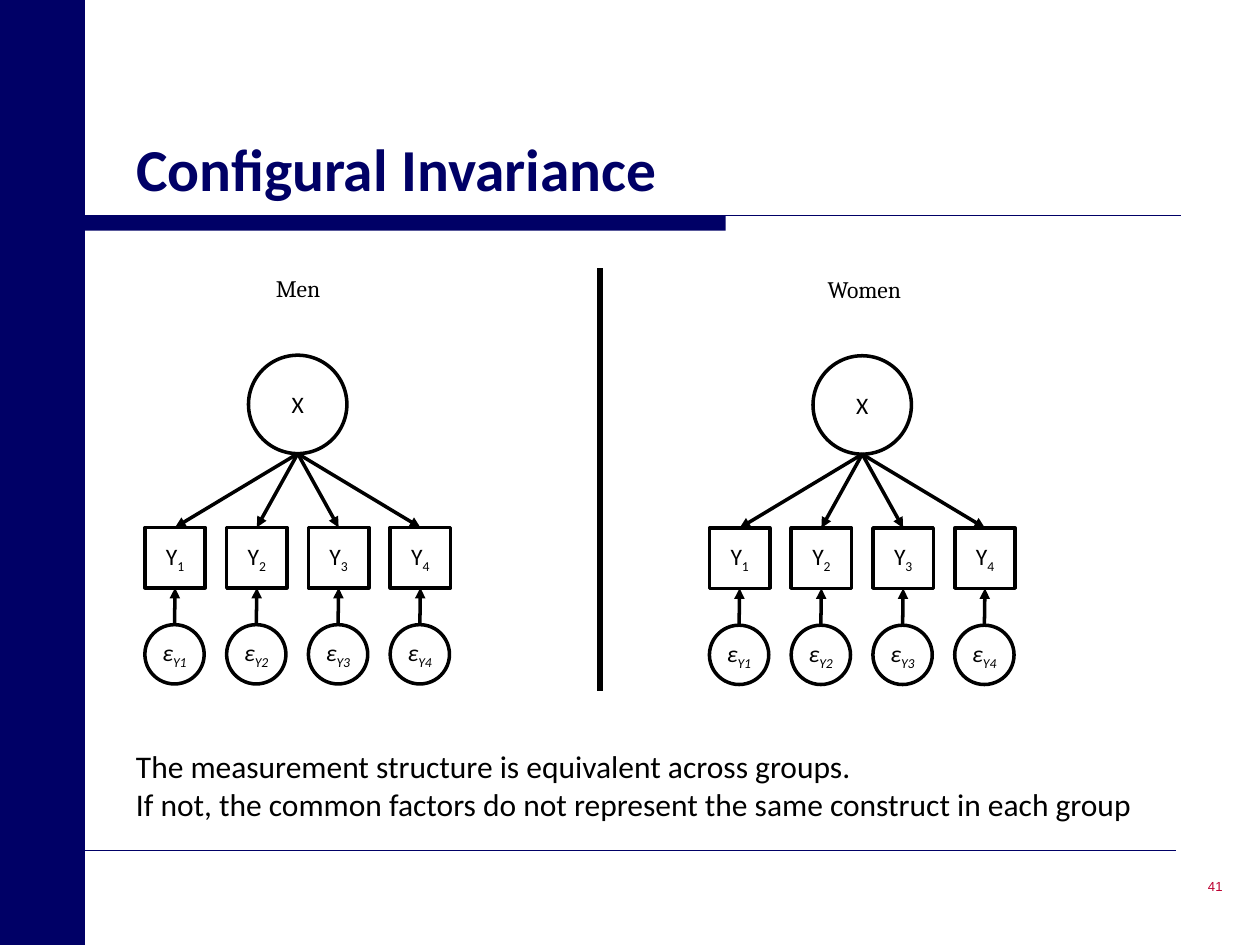
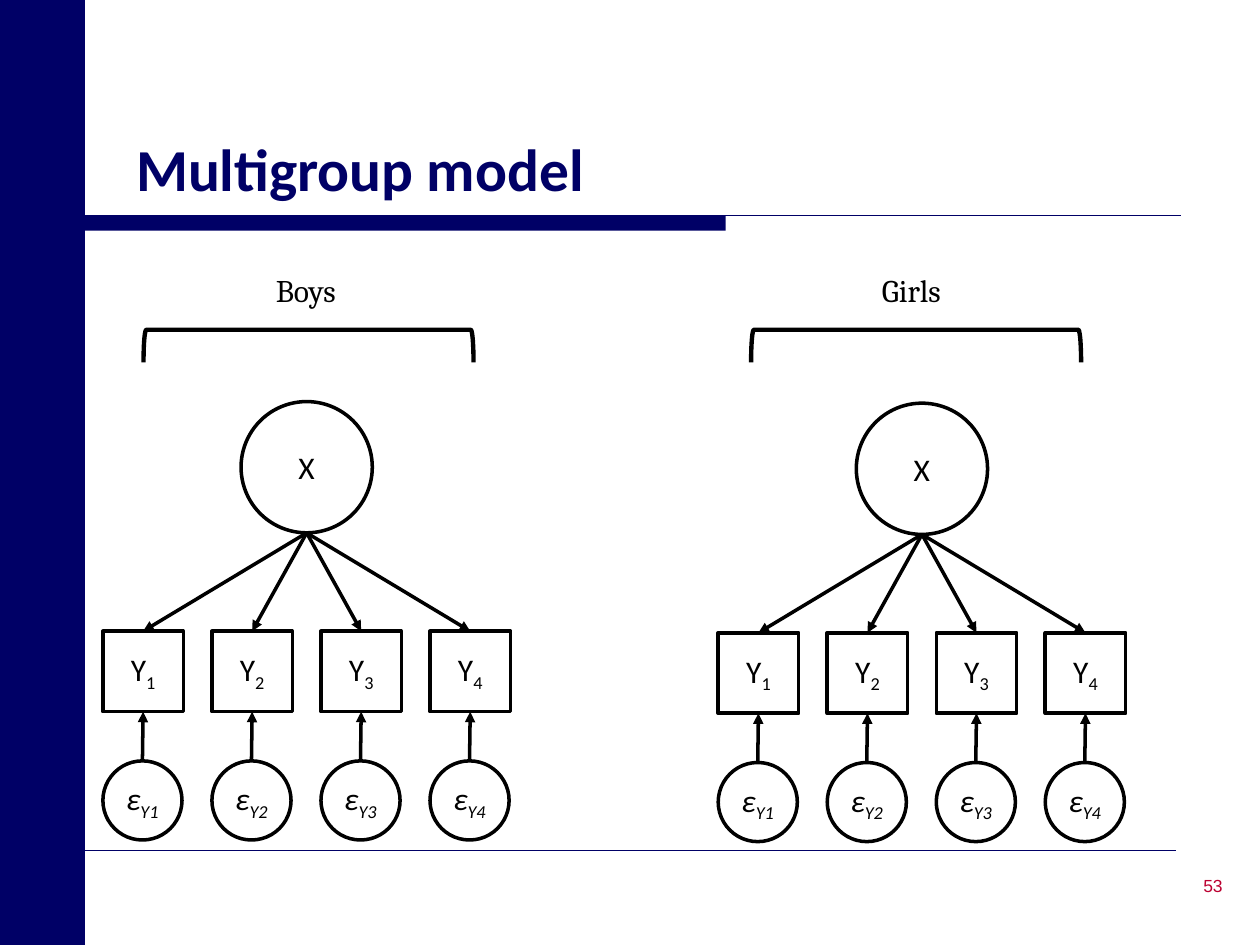
from dataclasses import dataclass
from typing import Any

from lxml.etree import SubElement
from pptx import Presentation
from pptx.dml.color import RGBColor
from pptx.enum.shapes import MSO_CONNECTOR, MSO_SHAPE
from pptx.enum.text import MSO_ANCHOR, MSO_AUTO_SIZE, PP_ALIGN
from pptx.oxml.ns import qn
from pptx.util import Pt

NAVY, RED, BLACK = "000066", "BC0031", "000000"
BODY_FONT, LABEL_FONT, NUMBER_FONT = "Calibri", "Cambria", "Arial"
BAND_W, RULE_Y, FOOT_Y = 48, 123, 486
INDICATORS = 4


@dataclass(frozen=True)
class Run:
    text: str
    sub: bool = False


@dataclass(frozen=True)
class Style:
    size: float
    font: str = BODY_FONT
    color: str = BLACK
    bold: bool = False
    italic: bool = False
    align: Any = PP_ALIGN.LEFT


@dataclass(frozen=True)
class Group:
    name: str
    label_x: float
    label_y: float
    label_w: float
    left: float
    top: float


@dataclass(frozen=True)
class ModelSlide:
    title: str
    number: str
    number_size: float
    size: float
    groups: tuple[Group, Group]


def rgb(color: str) -> RGBColor:
    return RGBColor.from_string(color)


def apply(target: Any, values: dict[str, Any]) -> None:
    for name, value in values.items():
        setattr(target, name, value)


def write(tf: Any, lines: list[list[Run]], style: Style, **frame: Any) -> None:
    apply(tf, {"word_wrap": True, "auto_size": MSO_AUTO_SIZE.NONE, **frame})
    for i, runs in enumerate(lines):
        p = tf.paragraphs[0] if i == 0 else tf.add_paragraph()
        p.alignment = style.align
        for run in runs:
            r = p.add_run()
            r.text = run.text
            apply(r.font, {"size": Pt(style.size), "name": style.font,
                           "bold": style.bold, "italic": style.italic})
            r.font.color.rgb = rgb(style.color)
            if run.sub:
                r._r.get_or_add_rPr().set("baseline", "-25000")


def add_text(s: Any, x: float, y: float, w: float, h: float,
             lines: list[str], style: Style, **frame: Any) -> None:
    tb = s.shapes.add_textbox(Pt(x), Pt(y), Pt(w), Pt(h))
    write(tb.text_frame, [[Run(line)] for line in lines], style, **frame)


def add_shape(s: Any, kind: Any, x: float, y: float, w: float, h: float,
              fill: str | None = None, line: str | None = BLACK,
              width: float = 2) -> Any:
    sp = s.shapes.add_shape(kind, Pt(x), Pt(y), Pt(w), Pt(h))
    sp.shadow.inherit = False
    if fill:
        sp.fill.solid()
        sp.fill.fore_color.rgb = rgb(fill)
    else:
        sp.fill.background()
    if line:
        sp.line.color.rgb = rgb(line)
        sp.line.width = Pt(width)
    else:
        sp.line.fill.background()
    return sp


def add_line(s: Any, x1: float, y1: float, x2: float, y2: float,
             color: str = BLACK, width: float = 2, arrow: bool = False) -> None:
    cx = s.shapes.add_connector(MSO_CONNECTOR.STRAIGHT, Pt(x1), Pt(y1), Pt(x2), Pt(y2))
    cx.line.color.rgb = rgb(color)
    cx.line.width = Pt(width)
    if arrow:
        SubElement(cx.line._get_or_add_ln(), qn("a:tailEnd"), type="triangle")
    SubElement(cx._element.spPr, qn("a:effectLst"))


def add_node(s: Any, kind: Any, x: float, y: float, d: float,
             runs: list[Run], style: Style) -> None:
    sp = add_shape(s, kind, x, y, d, d)
    write(sp.text_frame, [runs], style, vertical_anchor=MSO_ANCHOR.MIDDLE,
          word_wrap=kind == MSO_SHAPE.RECTANGLE)


def add_factor_model(s: Any, group: Group, size: float) -> None:
    k = size / 18
    factor_d, box, error_d = 75 * k, 46 * k, 45.2 * k
    pitch, path_h, error_gap = 62.3 * k, 56.2 * k, 28.1 * k
    factor_x = group.left + ((INDICATORS - 1) * pitch + box) / 2
    factor_bottom = group.top + factor_d
    box_y = factor_bottom + path_h
    error_y = box_y + box + error_gap
    plain = Style(size, align=PP_ALIGN.CENTER)
    slanted = Style(size, italic=True, align=PP_ALIGN.CENTER)

    add_node(s, MSO_SHAPE.OVAL, factor_x - factor_d / 2, group.top, factor_d,
             [Run("X")], plain)
    for i in range(INDICATORS):
        x = group.left + i * pitch
        mid = x + box / 2
        add_node(s, MSO_SHAPE.RECTANGLE, x, box_y, box,
                 [Run("Y"), Run(f"{i + 1}", sub=True)], plain)
        add_node(s, MSO_SHAPE.OVAL, x, error_y, error_d,
                 [Run("ε"), Run(f"Y{i + 1}", sub=True)], slanted)
        add_line(s, factor_x, factor_bottom, mid, box_y, arrow=True)
        add_line(s, x + error_d / 2, error_y, mid, box_y + box, arrow=True)
    add_text(s, group.label_x, group.label_y, group.label_w, size * 1.6,
             [group.name], Style(size, LABEL_FONT))


def add_bracket(s: Any, x: float, y: float, w: float, h: float) -> None:
    sp = add_shape(s, MSO_SHAPE.RIGHT_BRACKET, x + (w - h) / 2, y - (w - h) / 2,
                   h, w, width=2.5)
    sp.rotation = 270


def add_model_slide(prs: Any, model: ModelSlide) -> Any:
    s = prs.slides.add_slide(prs.slide_layouts[5])
    add_shape(s, MSO_SHAPE.RECTANGLE, BAND_W, RULE_Y, 366.7, 8.8, NAVY, None)
    add_line(s, BAND_W, RULE_Y, 674.6, RULE_Y, NAVY, 0.75)
    add_line(s, BAND_W, FOOT_Y, 672, FOOT_Y, NAVY, 0.25)
    add_shape(s, MSO_SHAPE.RECTANGLE, 0, 0, BAND_W, 540, NAVY, NAVY, 1)

    title = s.shapes.title
    apply(title, {"left": Pt(70.6), "top": Pt(24), "width": Pt(553.7), "height": Pt(95.8)})
    write(title.text_frame, [[Run(model.title)]], Style(34, color=NAVY, bold=True),
          vertical_anchor=MSO_ANCHOR.BOTTOM)
    add_text(s, 555.8, 485.3, 150, 41.8, [model.number],
             Style(model.number_size, NUMBER_FONT, RED, align=PP_ALIGN.RIGHT),
             vertical_anchor=MSO_ANCHOR.MIDDLE)
    for group in model.groups:
        add_factor_model(s, group, model.size)
    return s


def main() -> None:
    prs = Presentation()
    apply(prs, {"slide_width": Pt(720), "slide_height": Pt(540)})

    s = add_model_slide(prs, ModelSlide(
        "Configural Invariance", "41", 7.5, 13.5,
        (Group("Men", 150.5, 153, 165, 82.8, 203),
         Group("Women", 465.8, 153.4, 170, 405.4, 203.3))))
    add_line(s, 342.8, 153.4, 342.8, 394.6, width=3)
    add_text(s, 70.6, 423.4, 595.4, 51,
             ["The measurement structure is equivalent across groups.",
              "If not, the common factors do not represent the same construct in each group"],
             Style(18))

    s = add_model_slide(prs, ModelSlide(
        "Multigroup model", "53", 10, 18,
        (Group("Boys", 150.5, 151.2, 220, 58.8, 229.5),
         Group("Girls", 496.8, 151.6, 220, 410.4, 230.4))))
    for x in (82, 429.2):
        add_bracket(s, x, 188.4, 188.6, 18.6)

    prs.save("out.pptx")


if __name__ == "__main__":
    main()
